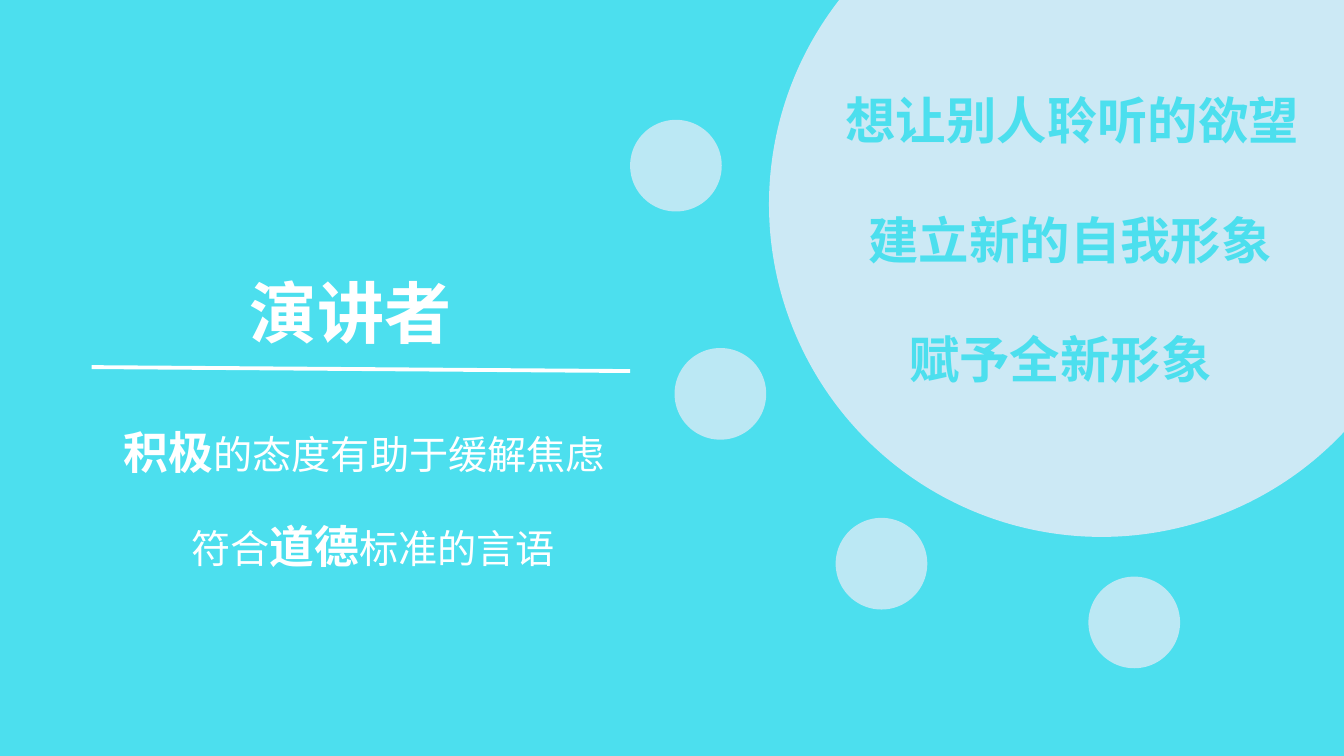
from pptx import Presentation
from pptx.dml.color import RGBColor
from pptx.enum.shapes import MSO_CONNECTOR as CONN, MSO_SHAPE as SHAPE
from pptx.enum.text import MSO_AUTO_SIZE as AUTO
from pptx.oxml.ns import qn
from pptx.util import Cm, Pt
from lxml.etree import SubElement

CYAN = RGBColor(0x4C, 0xDF, 0xEE)
PALE = RGBColor(0xDE, 0xEB, 0xF7)
WHITE = RGBColor(0xFF, 0xFF, 0xFF)


def add_run(p, text, *, size, color, bold=False, font="Noto Sans CJK SC"):
    r = p.add_run()
    r.text = text
    r.font.size, r.font.bold, r.font.name = Pt(size), bold, font
    r.font.color.rgb = color
    # Chinese text takes its font from the East Asian slot
    SubElement(r._r.get_or_add_rPr(), qn("a:ea"), typeface=font)


class SlideBuilder:
    """Holds the current slide and draws its elements, in centimetres."""

    def __init__(self, prs, background):
        self.s = prs.slides.add_slide(prs.slide_layouts[6])
        fill = self.s.background.fill
        fill.solid()
        fill.fore_color.rgb = background

    def circle(self, x, y, size, opacity):
        sp = self.s.shapes.add_shape(SHAPE.OVAL, Cm(x), Cm(y), Cm(size), Cm(size))
        sp.shadow.inherit = False
        sp.line.fill.background()
        sp.fill.solid()
        sp.fill.fore_color.rgb = PALE
        color = sp.fill._xPr.find(qn("a:solidFill"))[0]
        SubElement(color, qn("a:alpha"), val=str(opacity * 1000))

    def text(self, x, y, w, h, runs, color):
        """Each run is (text, size, bold)."""
        tf = self.s.shapes.add_textbox(Cm(x), Cm(y), Cm(w), Cm(h)).text_frame
        tf.word_wrap = True
        tf.auto_size = AUTO.SHAPE_TO_FIT_TEXT
        for text, size, bold in runs:
            add_run(tf.paragraphs[0], text, size=size, color=color, bold=bold)

    def line(self, x1, y1, x2, y2, width):
        c = self.s.shapes.add_connector(CONN.STRAIGHT, Cm(x1), Cm(y1), Cm(x2), Cm(y2))
        c.line.color.rgb = WHITE
        c.line.width = Pt(width)
        SubElement(c._element.spPr, qn("a:effectLst"))


def main():
    prs = Presentation()
    prs.slide_width, prs.slide_height = Cm(33.87), Cm(19.05)
    slide = SlideBuilder(prs, CYAN)

    # Large circle with the three motives
    slide.circle(19.38, -3.23, 16.76, 88)
    motives = [
        (21.06, 25.02, "想让别人聆听的欲望"),
        (21.64, 16.69, "建立新的自我形象"),
        (22.66, 17.42, "赋予全新形象"),
    ]
    for i, (x, w, motive) in enumerate(motives):
        slide.text(x, 2.13 + 3.01 * i, w, 1.8, [(motive, 36, True)], CYAN)

    # Title, rule and supporting statements
    slide.text(6.05, 6.71, 7.57, 2.31, [("演讲者", 48, True)], WHITE)
    slide.line(2.31, 9.25, 15.88, 9.35, 2.75)
    slide.text(2.87, 10.59, 14.25, 1.63,
               [("积极", 32, True), ("的态度有助于缓解焦虑", 28, False)], WHITE)
    slide.text(4.57, 12.95, 10.24, 1.63,
               [("符合", 28, False), ("道德", 32, True), ("标准的言语", 28, False)], WHITE)

    # Small circles around the large one
    for x, y in [(15.88, 3.02), (17, 8.77), (21.06, 13.05), (27.43, 14.53)]:
        slide.circle(x, y, 2.31, 76)

    prs.save("out.pptx")


if __name__ == "__main__":
    main()
